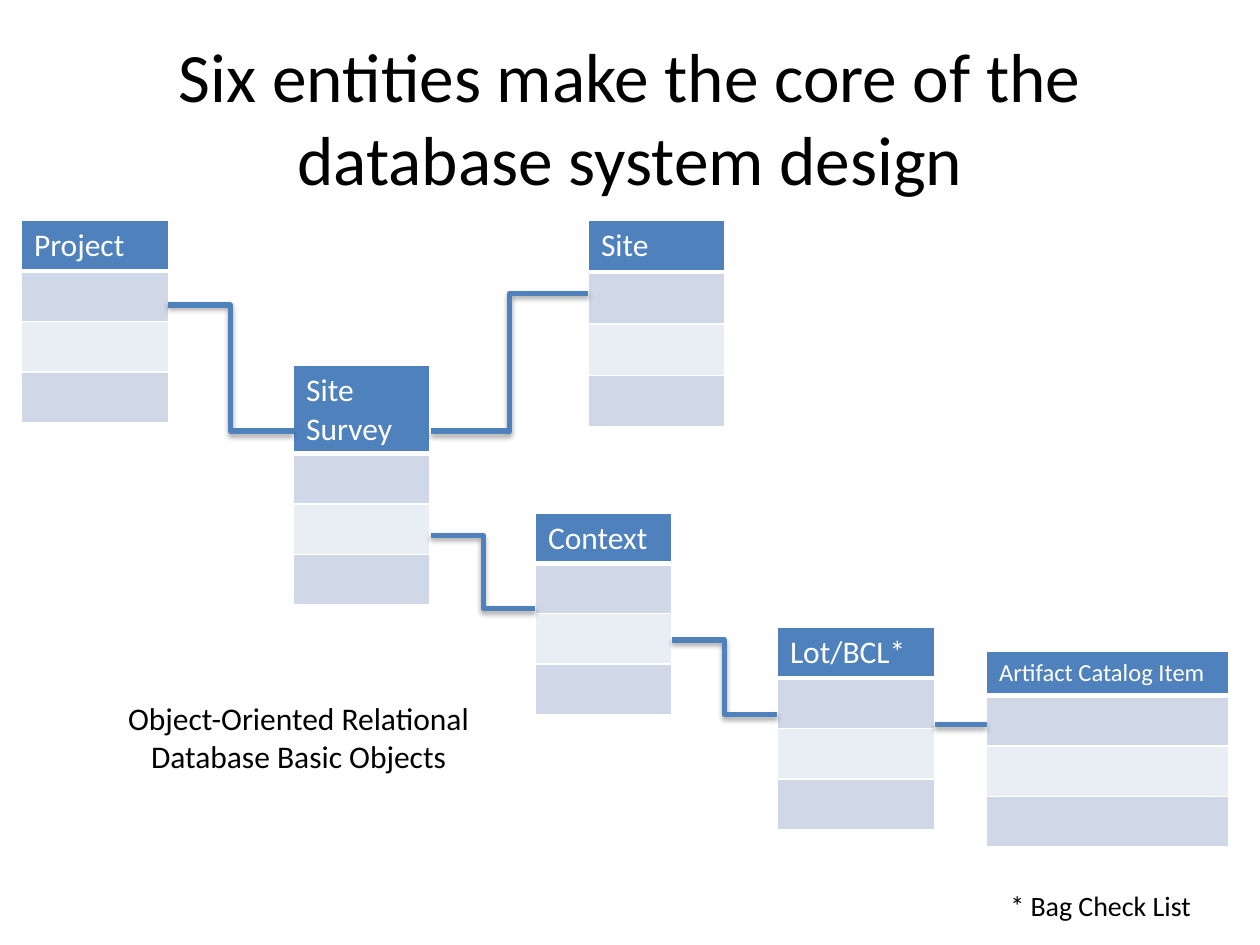
from lxml import etree
from pptx import Presentation
from pptx.dml.color import RGBColor
from pptx.enum.shapes import MSO_CONNECTOR as Connector
from pptx.enum.text import MSO_ANCHOR as Anchor, PP_ALIGN as Align
from pptx.oxml import parse_xml
from pptx.oxml.ns import nsdecls, qn
from pptx.util import Inches, Pt

FONT = "Calibri"
BLUE, BLACK, WHITE = "4F81BD", "000000", "FFFFFF"
BANDS = ["D0D8E8", "E9EDF4", "D0D8E8"]
ROW_HEIGHT = 0.4

# name, left, top, width, header height, row height, text size
ENTITIES = [
    ("Project", 0.17, 1.75, 1.17, ROW_HEIGHT, ROW_HEIGHT, 18),
    ("Site Survey", 2.33, 2.9, 1.08, 0.7, ROW_HEIGHT, 18),
    ("Site", 4.67, 1.75, 1.08, 0.41, 0.41, 18),
    ("Artifact Catalog Item", 7.83, 5.17, 1.92, 0.35, ROW_HEIGHT, 14),
    ("Lot/BCL*", 6.17, 4.98, 1.25, ROW_HEIGHT, ROW_HEIGHT, 18),
    ("Context", 4.25, 4.07, 1.08, ROW_HEIGHT, ROW_HEIGHT, 18),
]

# kind, start x, start y, end x, end y
RELATIONS = [
    (Connector.ELBOW, 1.33, 2.42, 2.33, 3.42),
    (Connector.ELBOW, 3.42, 3.42, 4.67, 2.33),
    (Connector.ELBOW, 3.42, 4.25, 4.25, 4.83),
    (Connector.ELBOW, 5.33, 5.08, 6.17, 5.67),
    (Connector.STRAIGHT, 7.42, 5.75, 7.83, 5.75),
]


def rgb(color):
    return RGBColor.from_string(color)


def style_font(font, size, color):
    font.name = FONT
    font.size = Pt(size)
    font.bold = False
    font.color.rgb = rgb(color)


def add_text(slide, text, left, top, width, height, size,
             align=Align.LEFT, anchor=Anchor.TOP):
    box = slide.shapes.add_textbox(
        Inches(left), Inches(top), Inches(width), Inches(height))
    frame = box.text_frame
    frame.word_wrap = True
    frame.vertical_anchor = anchor
    frame.text = text
    paragraph = frame.paragraphs[0]
    paragraph.alignment = align
    style_font(paragraph.runs[0].font, size, BLACK)


def style_cell(cell, fill, bottom_width=1):
    """Give the cell white borders, then its fill, in schema order."""
    properties = cell._tc.get_or_add_tcPr()
    for side, width in (("L", 1), ("R", 1), ("T", 1), ("B", bottom_width)):
        properties.append(parse_xml(
            f'<a:ln{side} {nsdecls("a")} w="{Pt(width)}"><a:solidFill>'
            f'<a:srgbClr val="{WHITE}"/></a:solidFill></a:ln{side}>'))
    cell.fill.solid()
    cell.fill.fore_color.rgb = rgb(fill)


def add_entity(slide, name, left, top, width, header_height, row_height, size):
    heights = [header_height] + [row_height] * len(BANDS)
    table = slide.shapes.add_table(
        len(heights), 1, Inches(left), Inches(top),
        Inches(width), Inches(sum(heights))).table
    for row, height in zip(table.rows, heights):
        row.height = Inches(height)
    header = table.cell(0, 0)
    header.text_frame.text = name
    style_font(header.text_frame.paragraphs[0].runs[0].font, size, WHITE)
    style_cell(header, BLUE, bottom_width=3)
    for index, band in enumerate(BANDS, start=1):
        style_cell(table.cell(index, 0), band)


def add_shadow(connector):
    effects = etree.SubElement(connector._element.spPr, qn("a:effectLst"))
    effects.append(parse_xml(
        f'<a:outerShdw {nsdecls("a")} blurRad="{Pt(3.1)}" dist="{Pt(1.8)}" '
        f'dir="5400000" rotWithShape="0"><a:srgbClr val="{BLACK}">'
        '<a:alpha val="35000"/></a:srgbClr></a:outerShdw>'))


def add_relation(slide, kind, *ends):
    connector = slide.shapes.add_connector(kind, *map(Inches, ends))
    connector.line.color.rgb = rgb(BLUE)
    connector.line.width = Pt(3)
    add_shadow(connector)


def main():
    presentation = Presentation()
    presentation.slide_width = Inches(10)
    presentation.slide_height = Inches(7.5)
    slide = presentation.slides.add_slide(presentation.slide_layouts[6])

    add_text(slide, "Six entities make the core of the database system design",
             0.5, 0.3, 9, 1.25, 39.6, Align.CENTER, Anchor.MIDDLE)
    for entity in ENTITIES:
        add_entity(slide, *entity)
    for relation in RELATIONS:
        add_relation(slide, *relation)
    add_text(slide, "Object-Oriented Relational Database Basic Objects",
             0.83, 5.5, 3.08, 0.71, 18, Align.CENTER)
    add_text(slide, "* Bag Check List", 7.92, 7, 1.75, 0.37, 16)

    presentation.save("out.pptx")


if __name__ == "__main__":
    main()
